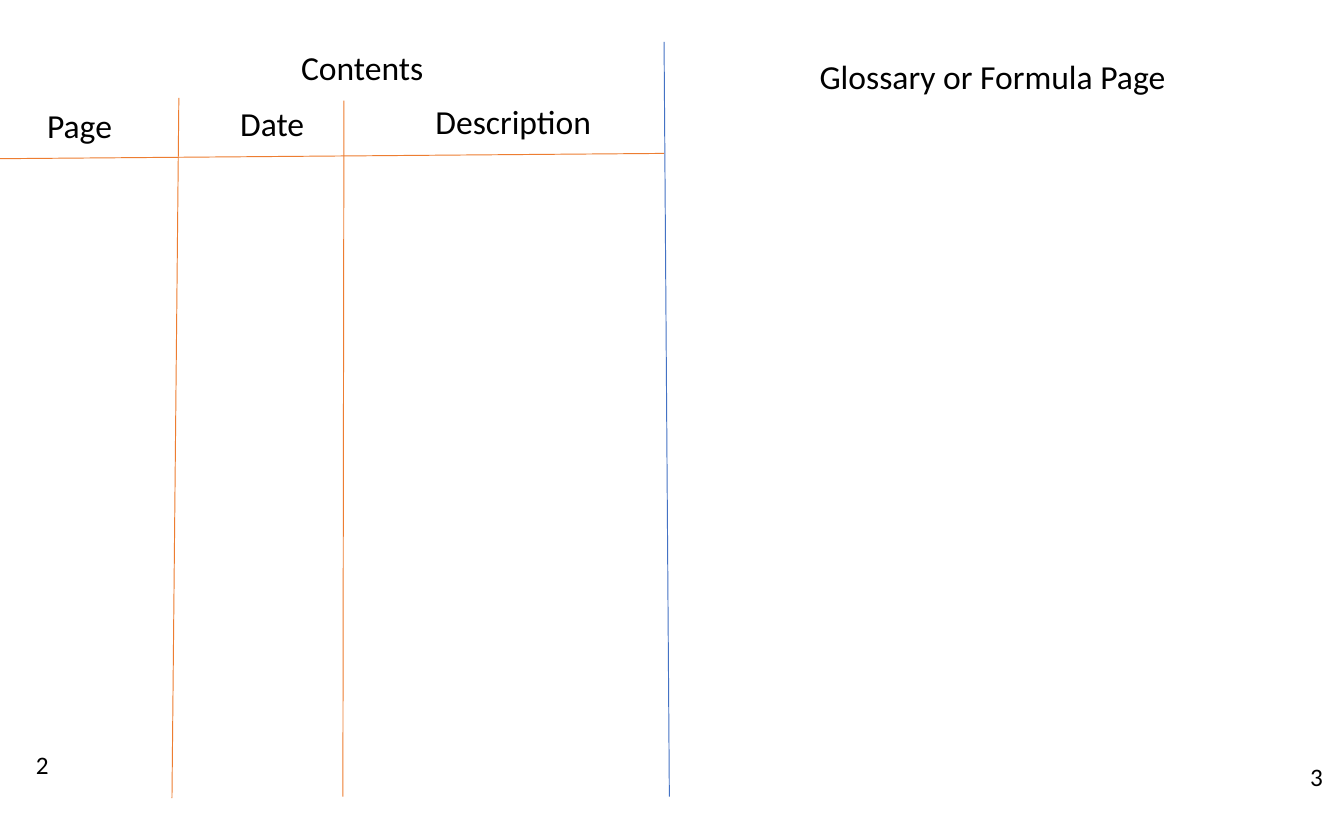
from pptx import Presentation
from pptx.dml.color import RGBColor
from pptx.enum.shapes import MSO_CONNECTOR
from pptx.enum.text import MSO_AUTO_SIZE
from pptx.oxml.ns import qn
from pptx.util import Cm, Pt
from lxml import etree

STRAIGHT = MSO_CONNECTOR.STRAIGHT
GROW = MSO_AUTO_SIZE.SHAPE_TO_FIT_TEXT
COLORS = {"text": "000000", "fold": "4472C4", "rule": "ED7D31"}
HEAD = {"name": "Calibri", "size": Pt(18)}
FOLIO = {"name": "Calibri", "size": Pt(13.5)}
WIDE, HIGH = 25.4, 15.88
HALF = WIDE / 2


def add_line(slide, box, start, end, color):
    left, top = box[:2]
    line = slide.shapes.add_connector(
        STRAIGHT,
        Cm(left + start[0]), Cm(top + start[1]),
        Cm(left + end[0]), Cm(top + end[1]),
    )
    line.line.color.rgb = RGBColor.from_string(COLORS[color])
    line.line.width = Pt(0.5)
    etree.SubElement(line._element.spPr, qn("a:effectLst"))


def add_label(slide, box, text, place, style, wrap=False):
    left, top = box[:2]
    x, y, width, height = place
    label = slide.shapes.add_textbox(
        Cm(left + x), Cm(top + y), Cm(width), Cm(height)
    )
    frame = label.text_frame
    frame.word_wrap = wrap
    frame.auto_size = GROW
    run = frame.paragraphs[0].add_run()
    run.text = text
    for key, value in style.items():
        setattr(run.font, key, value)
    run.font.color.rgb = RGBColor.from_string(COLORS["text"])


def add_fold(slide, box):
    add_line(slide, box, (12.55, 0.79), (12.65, 15.06), "fold")


def add_contents(slide, box):
    rules = [
        ((0, 3), (12.55, 2.9)),
        ((3.38, 1.85), (3.25, 15.09)),
        ((6.5, 1.9), (6.48, 15.06)),
    ]
    for start, end in rules:
        add_line(slide, box, start, end, "rule")
    heads = [
        ("Contents", 5.44, 0.76, 2.84, False),
        ("Page", 0.64, 1.85, 1.75, False),
        ("Date", 4.29, 1.83, 1.73, False),
        ("Description", 7.98, 1.78, 4.11, True),
    ]
    for text, x, y, width, wrap in heads:
        add_label(slide, box, text, (x, y, width, 1.02), HEAD, wrap)
    add_label(slide, box, "2", (0.43, 14.05, 0.76, 0.84), FOLIO)


def add_glossary(slide, box):
    add_label(slide, box, "Glossary or Formula Page",
              (2.54, 0.94, 7.24, 1.02), HEAD, True)
    add_label(slide, box, "3", (11.81, 14.27, 0.76, 0.84), FOLIO)


def main():
    deck = Presentation()
    deck.slide_width, deck.slide_height = Cm(WIDE), Cm(HIGH)
    slide = deck.slides.add_slide(deck.slide_layouts[6])
    add_fold(slide, (0, 0, WIDE, HIGH))
    add_contents(slide, (0, 0, HALF, HIGH))
    add_glossary(slide, (HALF, 0, HALF, HIGH))
    deck.save("out.pptx")


if __name__ == "__main__":
    main()
